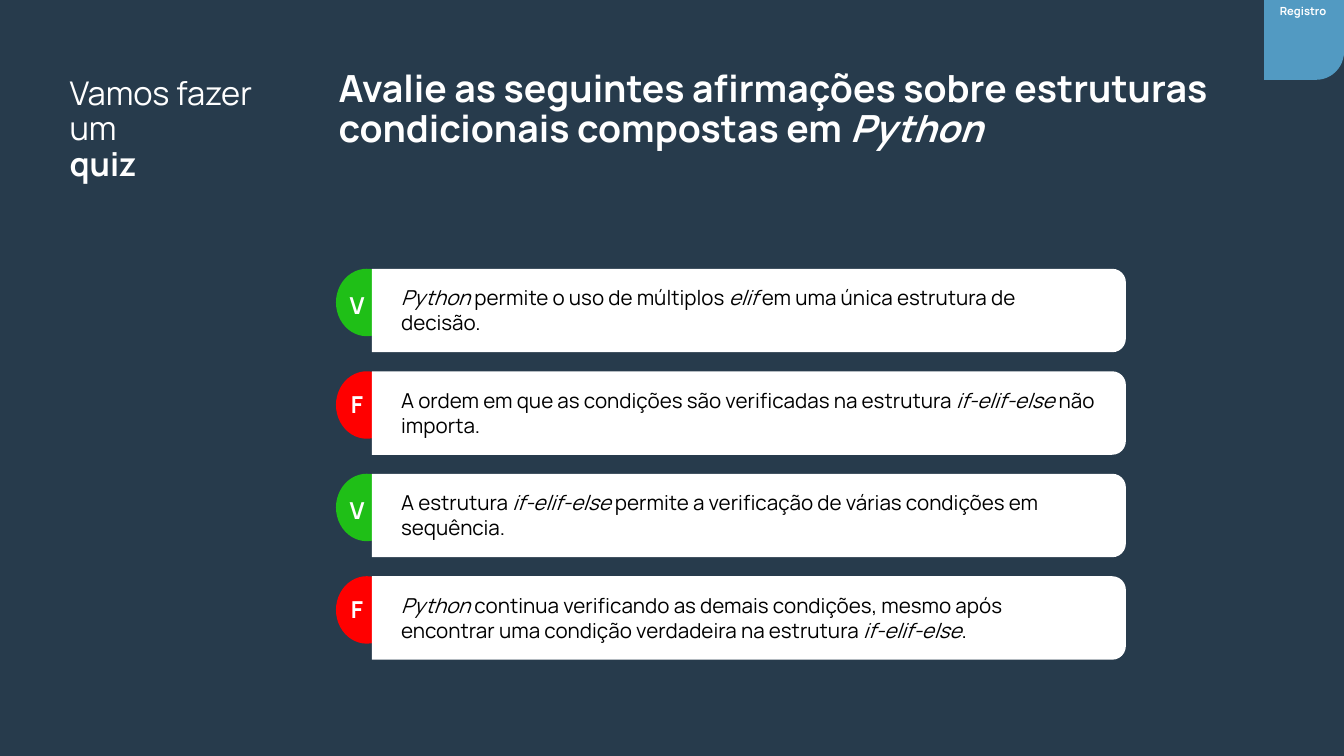
from dataclasses import dataclass

import pptx
import pptx.dml.color
import pptx.enum.shapes
import pptx.enum.text
import pptx.util

Pt = pptx.util.Pt
SHAPE = pptx.enum.shapes.MSO_SHAPE
ALIGN = pptx.enum.text.PP_ALIGN
ANCHOR = pptx.enum.text.MSO_ANCHOR


@dataclass(frozen=True)
class Theme:
    font: str = "Manrope"
    background: str = "273B4C"
    light: str = "FFFFFF"
    dark: str = "000000"
    tag: str = "529AC2"
    true: str = "1FBF17"
    false: str = "FF0000"
    heading_size: float = 26.7
    label_size: float = 23.3
    verdict_size: float = 16.7
    statement_size: float = 14.7
    tag_size: float = 8


THEME = Theme()
VERDICTS = {"V": (THEME.true, 12.9), "F": (THEME.false, 10.3)}  # fill, letter offset
HEADING = "Avalie as seguintes afirmações sobre estruturas condicionais compostas em *Python*"
QUIZ = [
    ("V", "*Python* permite o uso de múltiplos *elif* em uma única estrutura de decisão."),
    ("F", "A ordem em que as condições são verificadas na estrutura *if-elif-else* não importa."),
    ("V", "A estrutura *if-elif-else* permite a verificação de várias condições em sequência."),
    ("F", "*Python* continua verificando as demais condições, mesmo após encontrar "
          "uma condição verdadeira na estrutura *if-elif-else*."),
]


def rgb(value):
    return pptx.dml.color.RGBColor.from_string(value)


def add_filled(slide, preset, box, color):
    shape = slide.shapes.add_shape(preset, *map(Pt, box))
    shape.shadow.inherit = False
    shape.fill.solid()
    shape.fill.fore_color.rgb = rgb(color)
    shape.line.fill.background()
    return shape


def add_text(slide, box, lines, size, color=THEME.light, bold=False, align=ALIGN.LEFT,
             anchor=ANCHOR.TOP, insets=(5, 2.4), spacing=None):
    """Write one paragraph per line; words between asterisks are italic."""
    frame = slide.shapes.add_textbox(*map(Pt, box)).text_frame
    frame.word_wrap = True
    frame.vertical_anchor = anchor
    frame.margin_left = frame.margin_right = Pt(insets[0])
    frame.margin_top = frame.margin_bottom = Pt(insets[1])
    for index, line in enumerate(lines):
        paragraph = frame.add_paragraph() if index else frame.paragraphs[0]
        paragraph.alignment = align
        paragraph.line_spacing = spacing
        paragraph.font.name = THEME.font
        paragraph.font.size = Pt(size)
        paragraph.font.bold = bold
        paragraph.font.color.rgb = rgb(color)
        for part, words in enumerate(line.split("*")):
            if words:
                run = paragraph.add_run()
                run.text = words
                if part % 2:
                    run.font.italic = True
    return frame


def add_side_label(slide, left, top, width, height):
    frame = add_text(slide, (left, top, width, height), ["Vamos fazer um", "quiz"],
                     THEME.label_size, insets=(0, 0), spacing=0.9)
    frame.paragraphs[1].font.bold = True


def add_heading(slide, left, top, width, height):
    add_text(slide, (left, top, width, height), [HEADING], THEME.heading_size, bold=True,
             spacing=0.9)


def add_corner_tag(slide, left, top, side):
    tag = add_filled(slide, SHAPE.ROUND_1_RECTANGLE, (left, top, side, side), THEME.tag)
    tag.rotation = 90
    tag.adjustments[0] = 0.35
    add_text(slide, (left, top, side - 1.4, 15), ["Registro"], THEME.tag_size, bold=True,
             align=ALIGN.CENTER, spacing=1.07)


def add_answer(slide, left, top, width, height, verdict, statement):
    color, letter_offset = VERDICTS[verdict]
    add_filled(slide, SHAPE.OVAL, (left, top, 44, 48.2), color)

    card_left = left + 25.6
    card_width = width - 25.6
    turned_box = (card_left + (card_width - height) / 2, top + (height - card_width) / 2,
                  height, card_width)
    card = add_filled(slide, SHAPE.ROUND_2_SAME_RECTANGLE, turned_box, THEME.light)
    card.rotation = 90
    card.adjustments[0] = 0.163

    add_text(slide, (left + 41.5, top + 9.4, 507.6, 44), [statement],
             THEME.statement_size, THEME.dark)
    add_text(slide, (left + 6.4, top + letter_offset, 17.3, 26.6), [verdict],
             THEME.verdict_size, bold=True, align=ALIGN.CENTER, anchor=ANCHOR.MIDDLE,
             insets=(0, 5))


def add_quiz(slide, left, top, width, row_height, pitch):
    for index, (verdict, statement) in enumerate(QUIZ):
        add_answer(slide, left, top + index * pitch, width, row_height, verdict, statement)


def main():
    deck = pptx.Presentation()
    deck.slide_width, deck.slide_height = Pt(960), Pt(540)
    slide = deck.slides.add_slide(deck.slide_layouts[6])
    slide.background.fill.solid()
    slide.background.fill.fore_color.rgb = rgb(THEME.background)

    add_side_label(slide, 49.7, 55.4, 135.4, 85)
    add_quiz(slide, 240, 192, 564.2, 59.6, 73.2)
    add_corner_tag(slide, 903, 0, 57)
    add_heading(slide, 236.9, 47.5, 664.6, 86.4)
    deck.save("out.pptx")


if __name__ == "__main__":
    main()
